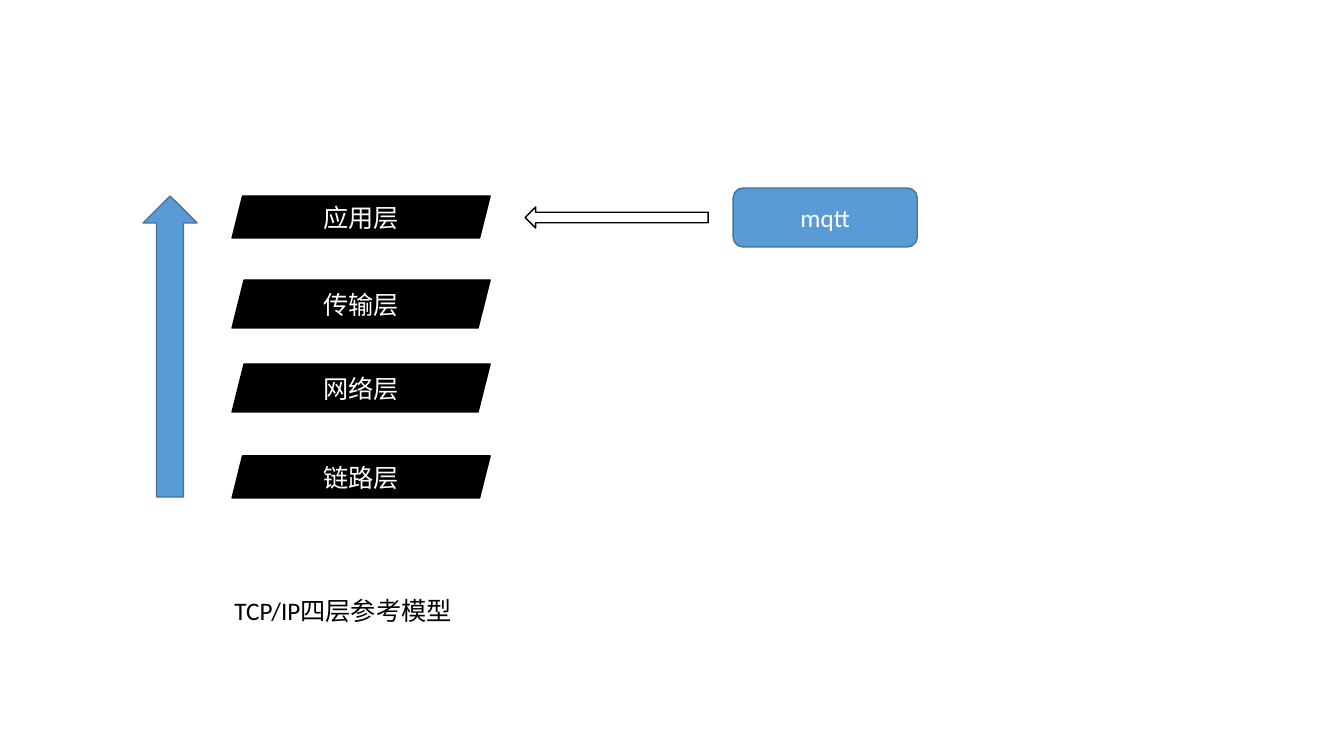
from dataclasses import dataclass

from pptx import Presentation
from pptx.dml.color import RGBColor
from pptx.enum.shapes import MSO_SHAPE
from pptx.enum.text import MSO_ANCHOR, MSO_AUTO_SIZE, PP_ALIGN
from pptx.util import Emu, Inches, Pt

PX = 914400 / 100.8


@dataclass(frozen=True)
class Theme:
    paper: RGBColor = RGBColor(0xFF, 0xFF, 0xFF)
    ink: RGBColor = RGBColor(0x00, 0x00, 0x00)
    accent: RGBColor = RGBColor(0x5B, 0x9B, 0xD5)
    accent_edge: RGBColor = RGBColor(0x43, 0x73, 0x9E)
    font: str = "Calibri"
    size: int = 18
    line: int = 1


THEME = Theme()

LAYER_LEFT, LAYER_WIDTH = 232, 258
# name, top, height
LAYERS = [
    ("应用层", 196, 42),
    ("传输层", 280, 48),
    ("网络层", 364, 48),
    ("链路层", 456, 42),
]


def px(*lengths):
    return [Emu(round(n * PX)) for n in lengths]


def write(sp, text, color):
    """Put one centred line of text into a shape or text box."""
    p = sp.text_frame.paragraphs[0]
    p.alignment = PP_ALIGN.CENTER
    r = p.add_run()
    r.text = text
    r.font.color.rgb = color
    for name, value in {"name": THEME.font, "size": Pt(THEME.size)}.items():
        setattr(r.font, name, value)


def add_block(slide, kind, box, fill, edge, text=None):
    """Add a filled, outlined preset shape, with light text if given."""
    sp = slide.shapes.add_shape(kind, *px(*box))
    sp.shadow.inherit = False
    sp.fill.solid()
    sp.fill.fore_color.rgb = fill
    sp.line.color.rgb = edge
    sp.line.width = Pt(THEME.line)
    if text:
        sp.text_frame.vertical_anchor = MSO_ANCHOR.MIDDLE
        write(sp, text, THEME.paper)


def add_caption(slide, box, text):
    sp = slide.shapes.add_textbox(*px(*box))
    tf = sp.text_frame
    for name, value in {"word_wrap": True,
                        "auto_size": MSO_AUTO_SIZE.SHAPE_TO_FIT_TEXT}.items():
        setattr(tf, name, value)
    write(sp, text, THEME.ink)


def main():
    prs = Presentation()
    prs.slide_width, prs.slide_height = Inches(13.33), Inches(7.5)
    slide = prs.slides.add_slide(prs.slide_layouts[6])
    slide.background.fill.solid()
    slide.background.fill.fore_color.rgb = THEME.paper

    for name, top, height in LAYERS:
        add_block(slide, MSO_SHAPE.PARALLELOGRAM,
                  (LAYER_LEFT, top, LAYER_WIDTH, height),
                  THEME.ink, THEME.ink, name)
    add_block(slide, MSO_SHAPE.UP_ARROW, (143, 196, 54, 301),
              THEME.accent, THEME.accent_edge)
    add_caption(slide, (143, 590, 400, 40), "TCP/IP四层参考模型")
    add_block(slide, MSO_SHAPE.LEFT_ARROW, (525, 207, 183, 21),
              THEME.paper, THEME.ink)
    add_block(slide, MSO_SHAPE.ROUNDED_RECTANGLE, (733, 188, 184, 59),
              THEME.accent, THEME.accent_edge, "mqtt")
    prs.save("out.pptx")


if __name__ == "__main__":
    main()
